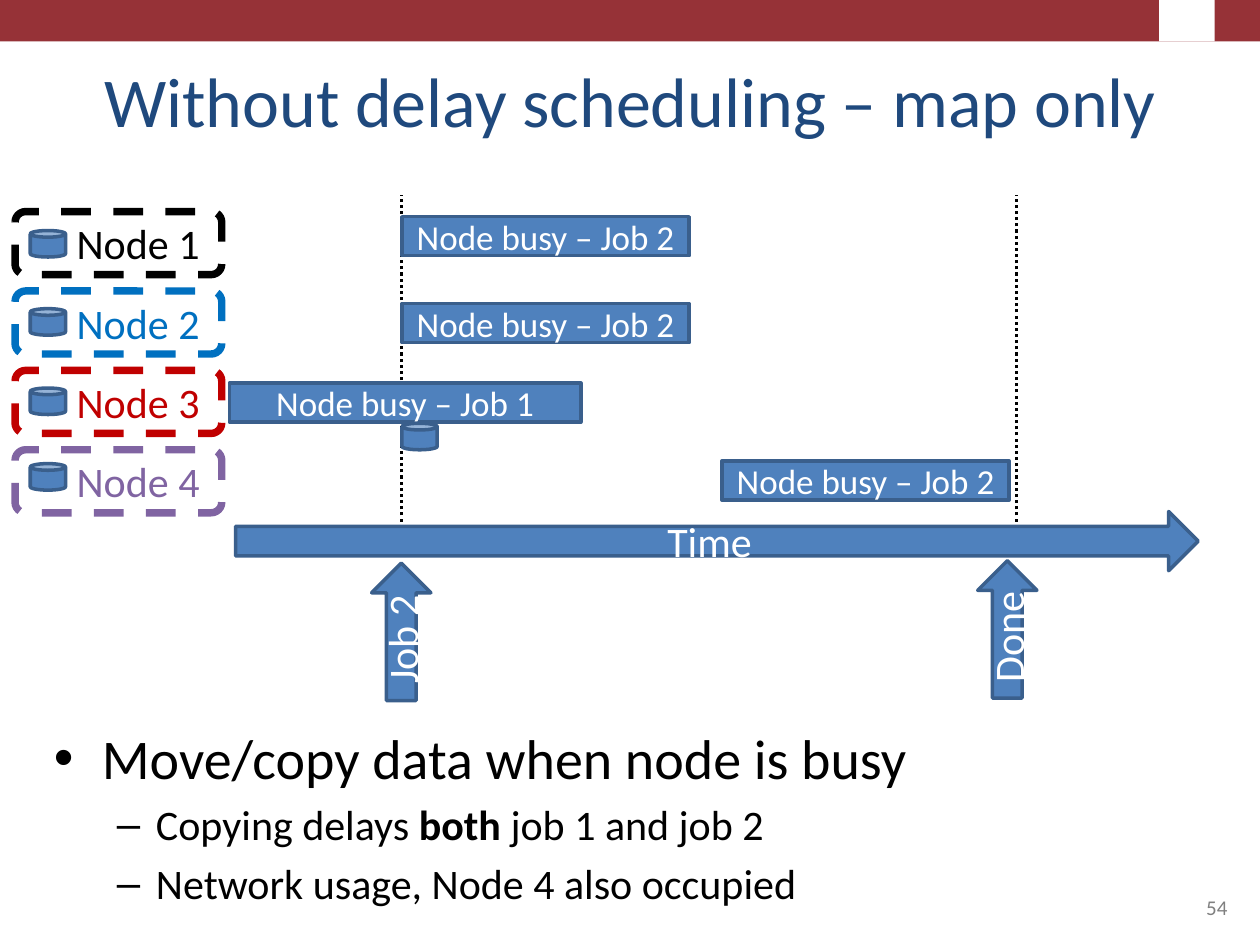
from collections import namedtuple

from lxml import etree
from pptx import Presentation
from pptx.dml.color import RGBColor
from pptx.enum.dml import MSO_LINE
from pptx.enum.shapes import MSO_CONNECTOR, MSO_SHAPE
from pptx.enum.text import MSO_ANCHOR, PP_ALIGN
from pptx.oxml.ns import qn
from pptx.util import Inches, Pt

Box = namedtuple("Box", "left top width height")

RECTANGLE, ROUNDED = MSO_SHAPE.RECTANGLE, MSO_SHAPE.ROUNDED_RECTANGLE
CAN, ARROW = MSO_SHAPE.CAN, MSO_SHAPE.RIGHT_ARROW
STRAIGHT = MSO_CONNECTOR.STRAIGHT
DASH, DOT = MSO_LINE.DASH, MSO_LINE.ROUND_DOT
TOP, MIDDLE, BOTTOM = MSO_ANCHOR.TOP, MSO_ANCHOR.MIDDLE, MSO_ANCHOR.BOTTOM
LEFT, CENTER, RIGHT = PP_ALIGN.LEFT, PP_ALIGN.CENTER, PP_ALIGN.RIGHT

FONT = "Calibri"
COLORS = {
    "banner": "963237", "title": "1F497D", "black": "000000", "white": "FFFFFF",
    "gray": "808080", "fill": "4F81BD", "outline": "3A5F8C",
    "blue": "0070C0", "red": "C00000", "purple": "8064A2",
}

# Node name, colour, drop of the disk inside its box
NODES = [("Node 1", "black", 0.15), ("Node 2", "blue", 0.14),
         ("Node 3", "red", 0.14), ("Node 4", "purple", 0.11)]
NODE_PITCH = 0.63
# Label and box of each busy period, relative to the timeline
BUSY_PERIODS = [("Node busy – Job 1", Box(1.7, 1.49, 2.79, 0.31)),
                ("Node busy – Job 2", Box(3.07, 0.17, 2.28, 0.31)),
                ("Node busy – Job 2", Box(3.07, 0.86, 2.28, 0.31)),
                ("Node busy – Job 2", Box(5.61, 2.11, 2.28, 0.31))]
MARKER_LINES = [3.07, 7.95]
# Label and box (before its quarter turn) of each event arrow
EVENTS = [("Job 2", Box(2.52, 3.23, 1.09, 0.47)),
          ("Done", Box(7.33, 3.21, 1.09, 0.47))]
# Level and runs (text, bold) of each bullet
BULLETS = [
    (0, [("Move/copy data when node is busy", False)]),
    (1, [("Copying delays ", False), ("both", True), (" job 1 and job 2", False)]),
    (1, [("Network usage, Node 4 also occupied", False)]),
]
LEVELS = [{"size": 32, "margin": 0.38, "indent": -0.38, "mark": "•"},
          {"size": 24, "margin": 0.81, "indent": -0.31, "mark": "–"}]


def color(name):
    return RGBColor.from_string(COLORS[name])


def inside(outer, box):
    return Box(outer.left + box.left, outer.top + box.top, box.width, box.height)


def set_values(target, values):
    for name, value in values.items():
        setattr(target, name, value)


def format_font(font, size, color_name, bold=False):
    set_values(font, {"name": FONT, "size": Pt(size), "bold": bold})
    font.color.rgb = color(color_name)


def write_text(shape, text, size, color_name, align=LEFT, anchor=TOP):
    set_values(shape.text_frame, {"word_wrap": True, "vertical_anchor": anchor})
    paragraph = shape.text_frame.paragraphs[0]
    set_values(paragraph, {"text": text, "alignment": align})
    format_font(paragraph.runs[0].font, size, color_name)


def add_text(slide, box, *text_format):
    shape = slide.shapes.add_textbox(*map(Inches, box))
    write_text(shape, *text_format)
    return shape


def add_figure(slide, kind, box, fill="fill", line="outline", weight=2):
    shape = slide.shapes.add_shape(kind, *map(Inches, box))
    shape.shadow.inherit = False
    if fill:
        shape.fill.solid()
        shape.fill.fore_color.rgb = color(fill)
    else:
        shape.fill.background()
    if line:
        shape.line.color.rgb = color(line)
        shape.line.width = Pt(weight)
    else:
        shape.line.fill.background()
    return shape


def add_labelled(slide, kind, box, text, size):
    shape = add_figure(slide, kind, box)
    set_values(shape.text_frame, {"margin_left": 0, "margin_right": 0})
    write_text(shape, text, size, "white", CENTER, MIDDLE)
    return shape


def add_marker_line(slide, x, bottom, top):
    line = slide.shapes.add_connector(STRAIGHT, *map(Inches, (x, bottom, x, top)))
    set_values(line.line, {"width": Pt(1.75), "dash_style": DOT})
    line.line.color.rgb = color("black")
    etree.SubElement(line._element.spPr, qn("a:effectLst"))


def add_banner(slide, box):
    add_figure(slide, RECTANGLE, box, "banner", None)
    # Plain block in the place of the emblem
    emblem = Box(9.2, 0, 0.44, box.height)
    add_figure(slide, RECTANGLE, inside(box, emblem), "white", None)


def add_node(slide, box, name, color_name, disk_drop):
    frame = add_figure(slide, ROUNDED, box, None, color_name, 4.25)
    frame.line.dash_style = DASH
    label = Box(0.39, 0, box.width - 0.39, box.height)
    add_text(slide, inside(box, label), name, 24, color_name)
    add_figure(slide, CAN, inside(box, Box(0.12, disk_drop, 0.28, 0.21)))


def add_timeline(slide, box):
    # Dotted lines at the start and end of job 2
    for x in MARKER_LINES:
        add_marker_line(slide, box.left + x, box.top + 2.59, box.top)

    # Nodes
    for row, node in enumerate(NODES):
        node_box = Box(0, 0.13 + row * NODE_PITCH, 1.64, 0.5)
        add_node(slide, inside(box, node_box), *node)

    # Time axis, busy periods and copied data
    axis = Box(1.75, 2.51, 7.64, 0.47)
    add_labelled(slide, ARROW, inside(box, axis), "Time", 24)
    for text, period in BUSY_PERIODS:
        add_labelled(slide, RECTANGLE, inside(box, period), text, 20)
    add_figure(slide, CAN, inside(box, Box(3.07, 1.81, 0.28, 0.21)))

    # Events below the axis
    for text, event in EVENTS:
        add_labelled(slide, ARROW, inside(box, event), text, 24).rotation = 270


def add_bullets(slide, box):
    frame = slide.shapes.add_textbox(*map(Inches, box)).text_frame
    frame.word_wrap = True
    for index, (level, runs) in enumerate(BULLETS):
        style = LEVELS[level]
        paragraph = frame.add_paragraph() if index else frame.paragraphs[0]
        paragraph.level = level
        if index:
            paragraph.space_before = Pt(style["size"] * 0.2)
        properties = paragraph._p.get_or_add_pPr()
        properties.set("marL", str(Inches(style["margin"])))
        properties.set("indent", str(Inches(style["indent"])))
        etree.SubElement(properties, qn("a:buFont"), typeface="Arial")
        etree.SubElement(properties, qn("a:buChar"), char=style["mark"])
        for text, bold in runs:
            run = paragraph.add_run()
            run.text = text
            format_font(run.font, style["size"], "black", bold)


def main():
    presentation = Presentation()
    set_values(presentation, {"slide_width": Inches(10), "slide_height": Inches(7.5)})
    slide = presentation.slides.add_slide(presentation.slide_layouts[6])

    add_banner(slide, Box(0, 0, 10, 0.33))
    add_text(slide, Box(0.5, 0.3, 9, 0.87), "Without delay scheduling – map only",
             40, "title", CENTER, BOTTOM)
    add_timeline(slide, Box(0.12, 1.55, 9.39, 3.71))
    add_bullets(slide, Box(0.33, 5.69, 9.33, 1.53))
    add_text(slide, Box(7.17, 6.83, 2.67, 0.52), "54", 12, "gray", RIGHT, BOTTOM)

    presentation.save("out.pptx")


if __name__ == "__main__":
    main()
